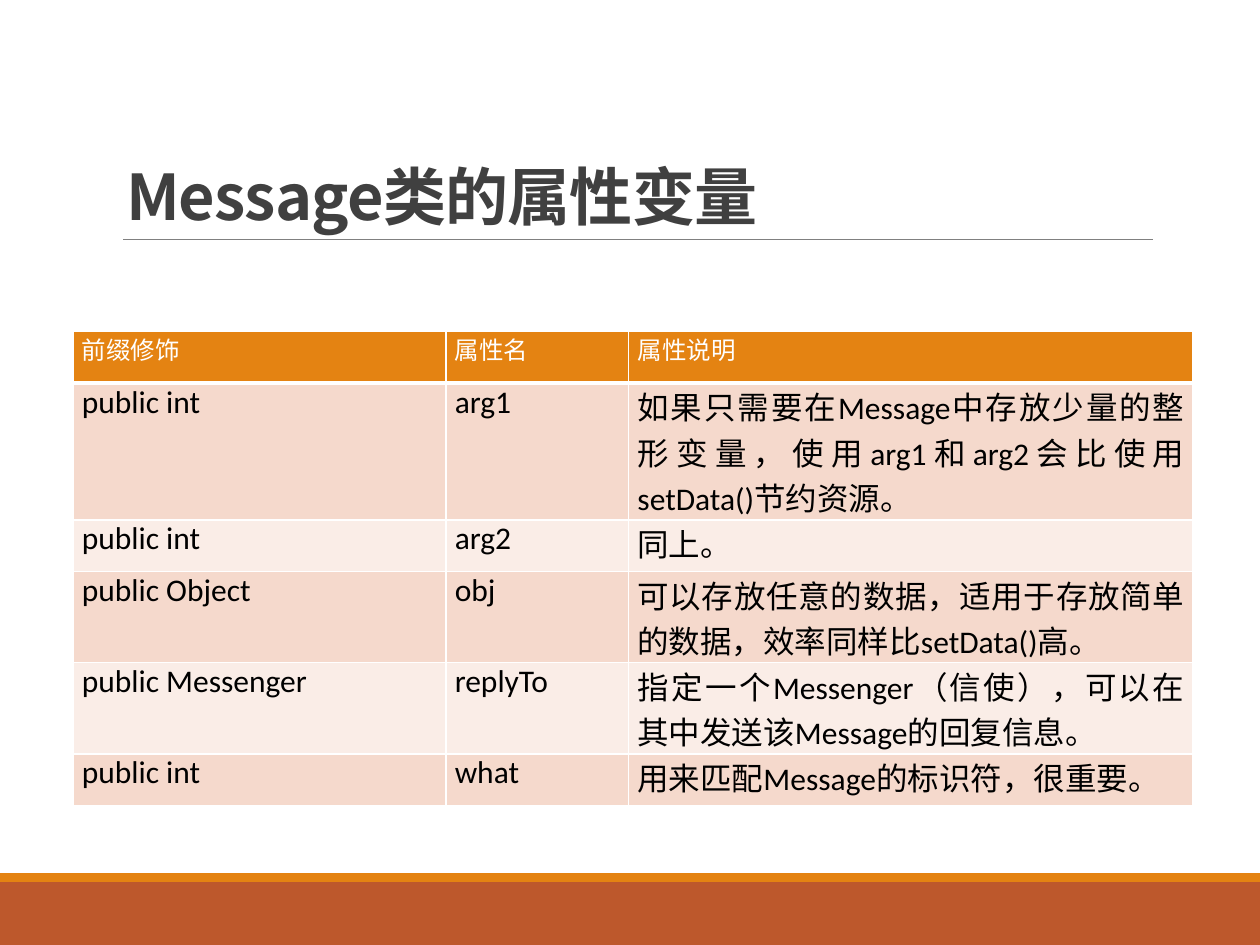
from lxml import etree
from pptx import Presentation
from pptx.dml.color import RGBColor
from pptx.enum.shapes import MSO_CONNECTOR, MSO_SHAPE
from pptx.enum.text import MSO_ANCHOR, PP_ALIGN
from pptx.oxml.ns import qn
from pptx.util import Inches, Pt

RECTANGLE = MSO_SHAPE.RECTANGLE
STRAIGHT = MSO_CONNECTOR.STRAIGHT
BOTTOM = MSO_ANCHOR.BOTTOM
LEFT, JUSTIFY = PP_ALIGN.LEFT, PP_ALIGN.JUSTIFY

WIDTH, HEIGHT = 10, 7.5
COLORS = {
    "band": "BD582C", "accent": "E48312", "rule": "808080", "title": "404040",
    "white": "FFFFFF", "black": "000000", "odd": "F5D9CC", "even": "FAEDE7",
}
TITLE_FONT, BODY_FONT = "Noto Sans CJK SC", "Calibri"
COLUMN_WIDTHS = (2.96, 1.45, 4.48)
ROW_HEIGHT = 0.41
ROWS = [
    ("前缀修饰", "属性名", "属性说明"),
    ("public int", "arg1",
     "如果只需要在Message中存放少量的整形变量，使用arg1和arg2会比使用setData()节约资源。"),
    ("public int", "arg2", "同上。"),
    ("public Object", "obj", "可以存放任意的数据，适用于存放简单的数据，效率同样比setData()高。"),
    ("public Messenger", "replyTo", "指定一个Messenger（信使），可以在其中发送该Message的回复信息。"),
    ("public int", "what", "用来匹配Message的标识符，很重要。"),
]


def color(name):
    return RGBColor.from_string(COLORS[name])


def inches(*lengths):
    return [Inches(length) for length in lengths]


def add_footer(slide, left, top, width, height):
    """Draw a thin accent strip above a solid band."""
    strip = 0.07
    for name, y, tall in (("band", top + strip, height - strip), ("accent", top, strip)):
        shape = slide.shapes.add_shape(RECTANGLE, *inches(left, y, width, tall))
        shape.shadow.inherit = False
        shape.fill.solid()
        shape.fill.fore_color.rgb = color(name)
        shape.line.fill.background()


def add_title(slide, left, top, width, height, text):
    """Fill the title placeholder and rule a line under it."""
    title = slide.shapes.title
    title.left, title.top, title.width, title.height = inches(left, top, width, height)
    frame = title.text_frame
    frame.text = text
    frame.vertical_anchor = BOTTOM
    paragraph = frame.paragraphs[0]
    paragraph.alignment = LEFT
    paragraph.line_spacing = 0.85
    run = paragraph.runs[0]
    run.font.size = Pt(36)
    run.font.bold = True
    run.font.name = TITLE_FONT
    run.font.color.rgb = color("title")
    properties = run.font._element
    properties.set("spc", "-50")
    etree.SubElement(properties, qn("a:ea"), typeface=TITLE_FONT)

    bottom = top + height
    rule = slide.shapes.add_connector(
        STRAIGHT, *inches(left + 0.08, bottom, left + width, bottom))
    rule.line.color.rgb = color("rule")
    rule.line.width = Pt(0.5)
    etree.SubElement(rule._element.spPr, qn("a:effectLst"))


def add_borders(cell, bottom_width):
    properties = cell._tc.get_or_add_tcPr()
    for side, width in (("L", 1), ("R", 1), ("T", 1), ("B", bottom_width)):
        line = etree.SubElement(properties, qn("a:ln" + side), w=str(Pt(width)))
        fill = etree.SubElement(line, qn("a:solidFill"))
        etree.SubElement(fill, qn("a:srgbClr"), val=COLORS["white"])


def format_cell(cell, text, fill, text_color, size, bottom_width):
    add_borders(cell, bottom_width)
    cell.fill.solid()
    cell.fill.fore_color.rgb = color(fill)
    cell.margin_left = cell.margin_right = Inches(0.07)
    cell.margin_top = cell.margin_bottom = 0
    cell.text = text
    paragraph = cell.text_frame.paragraphs[0]
    paragraph.alignment = JUSTIFY
    paragraph.space_before = paragraph.space_after = Pt(3)
    paragraph.font.size = Pt(size)
    paragraph.font.bold = False
    paragraph.font.name = BODY_FONT
    paragraph.font.color.rgb = color(text_color)


def add_attribute_table(slide, left, top):
    """Build the table: accent header, then alternating rows."""
    table = slide.shapes.add_table(
        len(ROWS), len(COLUMN_WIDTHS),
        *inches(left, top, sum(COLUMN_WIDTHS), ROW_HEIGHT * len(ROWS))).table
    for column, width in zip(table.columns, COLUMN_WIDTHS):
        column.width = Inches(width)
    for row_index, texts in enumerate(ROWS):
        table.rows[row_index].height = Inches(ROW_HEIGHT)
        if row_index == 0:
            style = ("accent", "white", 14, 3)
        else:
            style = ("odd" if row_index % 2 else "even", "black", 18, 1)
        for column_index, text in enumerate(texts):
            format_cell(table.cell(row_index, column_index), text, *style)


presentation = Presentation()
presentation.slide_width, presentation.slide_height = inches(WIDTH, HEIGHT)
slide = presentation.slides.add_slide(presentation.slide_layouts[5])
add_footer(slide, 0, 6.93, WIDTH, HEIGHT - 6.93)
add_title(slide, 0.9, 0.31, 8.25, 1.59, "Message类的属性变量")
add_attribute_table(slide, 0.58, 2.63)
presentation.save("out.pptx")
